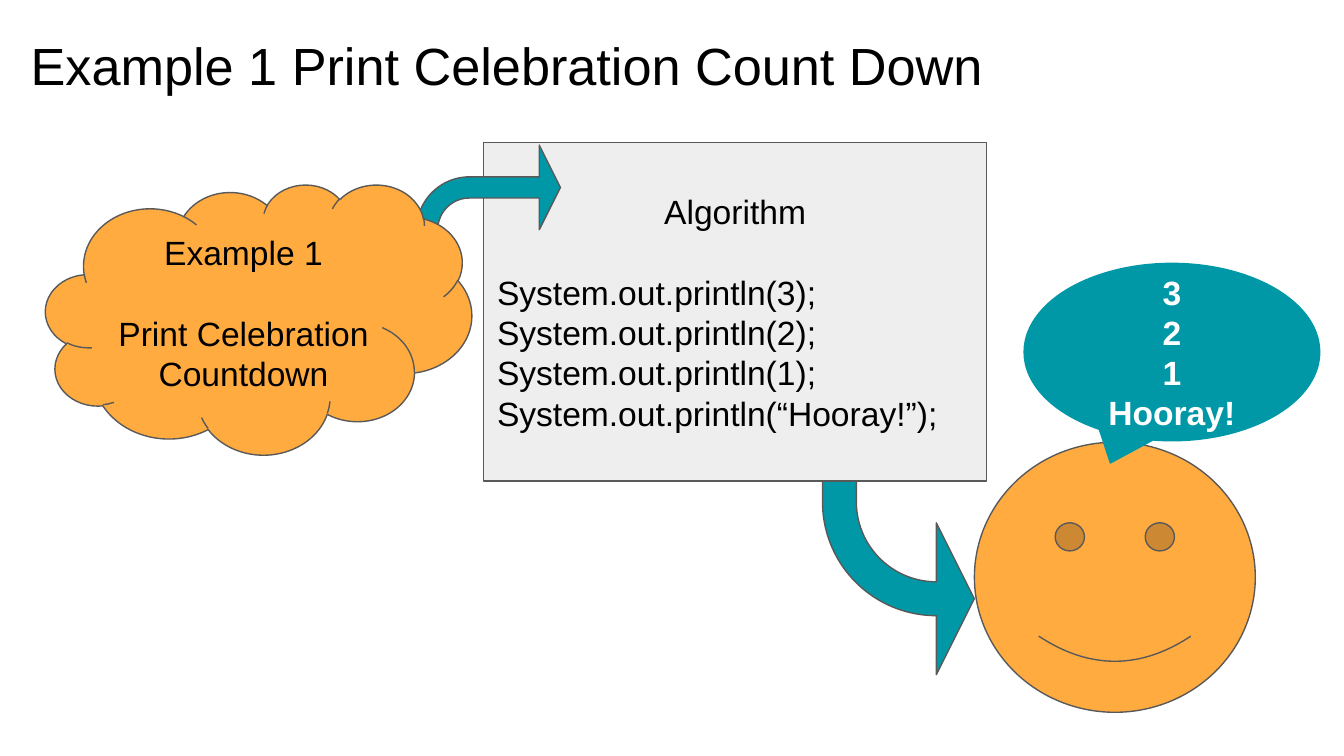
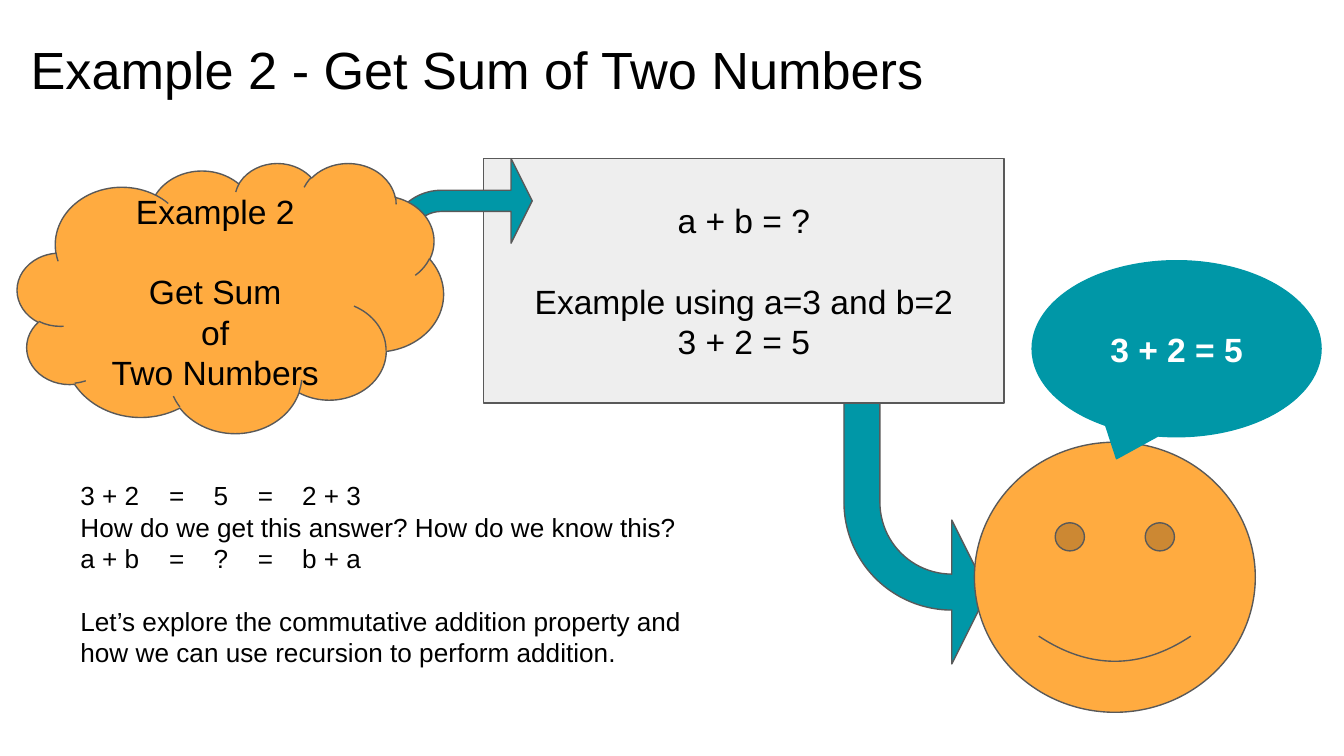
from dataclasses import dataclass

from lxml import etree
from pptx import Presentation
from pptx import util as u
from pptx.dml.color import RGBColor
from pptx.enum import shapes, text
from pptx.oxml import ns

SHAPE = shapes.MSO_SHAPE
ALIGN = text.PP_ALIGN


@dataclass(frozen=True)
class Theme:
    font: str = "Arial"
    black: str = "000000"
    white: str = "FFFFFF"
    teal: str = "0097A7"
    orange: str = "FFAB40"
    grey: str = "EEEEEE"
    outline: str = "595959"
    title: int = 28
    label: int = 18
    note: int = 14
    line: float = 0.75
    blank_line: float = 1.2


T = Theme()
GAP = ""
FACE = (7.25, 3.29, 2.09, 2.01)
TAB_STOPS = [0.66 + 0.33 * i for i in range(4)]

SLIDES = [
    dict(
        title="Example 1 Print Celebration Count Down",
        title_top=0.15,
        problem=["Example 1", GAP, "Print Celebration Countdown"],
        cloud=(0.34, 1.37),
        arrow_in=(3.1, 1.08),
        heading=["Algorithm"],
        steps=[
            GAP,
            "System.out.println(3);",
            "System.out.println(2);",
            "System.out.println(1);",
            "System.out.println(“Hooray!”);",
        ],
        algorithm=(3.6, 1.06, 3.74, 2.52),
        arrow_out=(6.12, 3.58, 1.13, 1.44),
        shaft=0.223,
        answer=["3", "2", "1", "Hooray!"],
        speech=(7.62, 1.96, 2.2, 1.32),
    ),
    dict(
        title="Example 2 - Get Sum of Two Numbers",
        title_top=0.18,
        problem=["Example 2", GAP, "Get Sum", "of", "Two Numbers"],
        cloud=(0.13, 1.21),
        arrow_in=(2.89, 1.18),
        heading=["a + b = ?", GAP, "Example using a=3 and b=2", "3 + 2 = 5"],
        steps=[],
        algorithm=(3.6, 1.18, 3.87, 1.82),
        arrow_out=(6.28, 3, 1.07, 1.94),
        shaft=0.25,
        answer=["3 + 2 = 5"],
        speech=(7.68, 1.94, 2.15, 1.31),
        notes=[
            "3 + 2\t=\t5\t=\t2 + 3",
            "How do we get this answer? How do we know this?",
            "a + b\t=\t?\t=\tb + a",
            GAP,
            "Let’s explore the commutative addition property and "
            "how we can use recursion to perform addition.",
        ],
    ),
]


def box(at):
    return [u.Inches(v) for v in at]


def add_tabs(p):
    tabs = etree.SubElement(p._p.get_or_add_pPr(), ns.qn("a:tabLst"))
    for stop in TAB_STOPS:
        etree.SubElement(tabs, ns.qn("a:tab"), pos=str(u.Inches(stop)), algn="l")


def write(sp, lines, size, color=T.black, bold=False, anchor=text.MSO_ANCHOR.MIDDLE):
    tf = sp.text_frame
    tf.word_wrap = True
    tf.vertical_anchor = anchor
    tf.margin_left = tf.margin_right = u.Inches(0.1)
    tf.margin_top = tf.margin_bottom = u.Inches(0.1)
    p, gap = None, False
    for line, align in lines:
        if line == GAP:
            gap = True
            continue
        p = tf.add_paragraph() if p is not None else tf.paragraphs[0]
        p.text = line
        p.alignment = align
        if gap:
            p.space_before = u.Pt(size * T.blank_line)
            gap = False
        if "\t" in line:
            add_tabs(p)
        p.font.name = T.font
        p.font.size = u.Pt(size)
        p.font.bold = bold
        p.font.color.rgb = RGBColor.from_string(color)


def aligned(lines, align):
    return [(line, align) for line in lines]


def add_shape(s, kind, at, fill, line=T.outline, adjust=()):
    sp = s.shapes.add_shape(kind, *box(at))
    sp.shadow.inherit = False
    sp.fill.solid()
    sp.fill.fore_color.rgb = RGBColor.from_string(fill)
    sp.line.color.rgb = RGBColor.from_string(line)
    sp.line.width = u.Pt(T.line)
    for i, value in enumerate(adjust):
        sp.adjustments[i] = value
    return sp


def add_text(s, at, lines, size):
    sp = s.shapes.add_textbox(*box(at))
    write(sp, aligned(lines, ALIGN.LEFT), size, anchor=text.MSO_ANCHOR.TOP)


def add_arrow(s, at, shaft=0.25):
    return add_shape(s, SHAPE.BENT_ARROW, at, T.teal, adjust=(shaft, 0.5, 0.25, 0.875))


def build_slide(prs, c):
    s = prs.slides.add_slide(prs.slide_layouts[6])

    arrow_out = add_arrow(s, c["arrow_out"], c["shaft"])
    arrow_out.rotation = 180
    arrow_out._element.spPr.find(ns.qn("a:xfrm")).set("flipH", "1")

    add_text(s, (0.13, c["title_top"], 9.52, 0.63), [c["title"]], T.title)
    add_shape(s, SHAPE.SMILEY_FACE, FACE, T.orange, adjust=(0.047,))

    algorithm = add_shape(s, SHAPE.FLOWCHART_PROCESS, c["algorithm"], T.grey)
    lines = aligned(c["heading"], ALIGN.CENTER) + aligned(c["steps"], ALIGN.LEFT)
    write(algorithm, lines, T.label)

    add_arrow(s, (*c["arrow_in"], 1.07, 0.63))
    cloud = add_shape(s, SHAPE.CLOUD, (*c["cloud"], 3.17, 2.01), T.orange)
    write(cloud, aligned(c["problem"], ALIGN.CENTER), T.label)

    speech = add_shape(s, SHAPE.OVAL_CALLOUT, c["speech"], T.teal, T.teal, (-0.208, 0.625))
    write(speech, aligned(c["answer"], ALIGN.CENTER), T.label, T.white, True)

    if "notes" in c:
        add_text(s, (0.5, 3.47, 4.91, 1.62), c["notes"], T.note)


def main():
    prs = Presentation()
    prs.slide_width = u.Inches(10)
    prs.slide_height = prs.slide_width * 9 // 16
    for content in SLIDES:
        build_slide(prs, content)
    prs.save("out.pptx")


if __name__ == "__main__":
    main()
